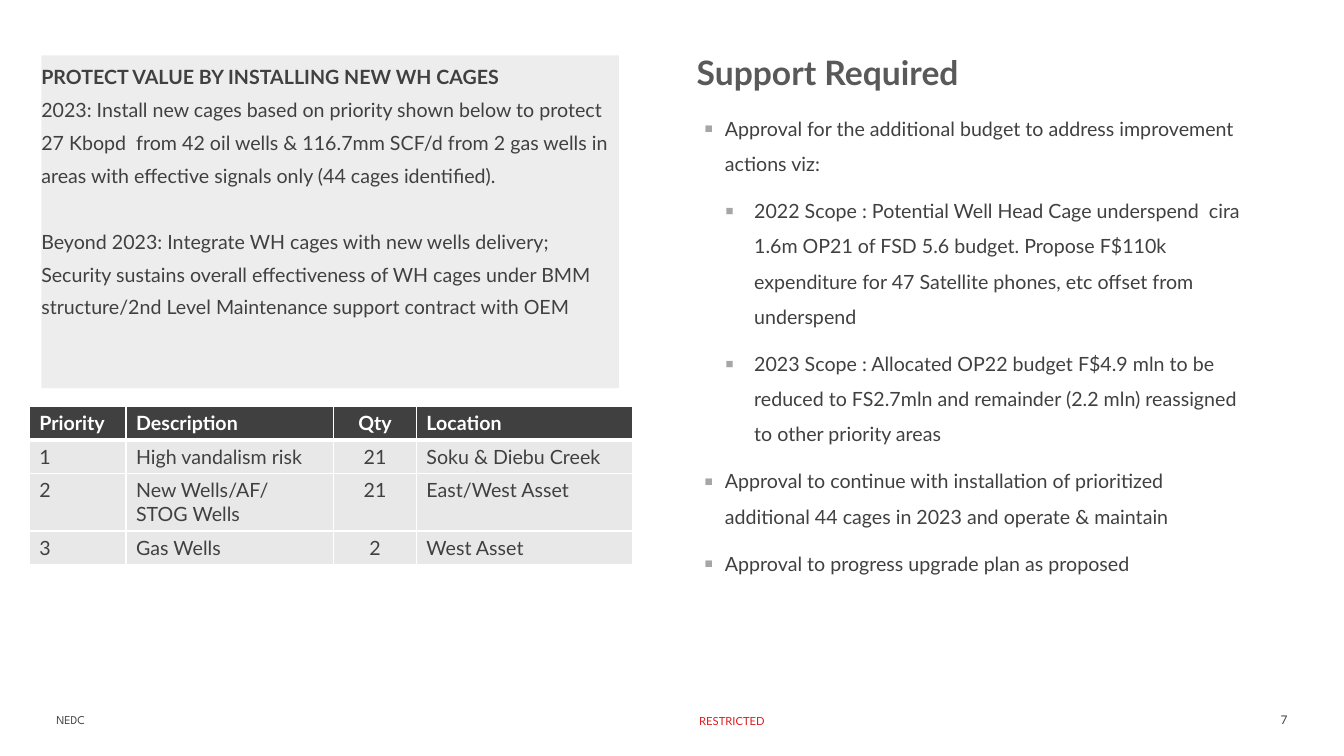
import lxml.etree
import pptx
import pptx.dml.color
import pptx.enum.shapes
import pptx.enum.text
import pptx.oxml.ns
import pptx.util

COLORS = {
    "text": "404040", "title": "595959", "panel": "EDEDED", "head": "404040",
    "row": "E8E8E8", "white": "FFFFFF", "red": "DD1D21", "bullet": "A6A6A6",
}
PLAN = [
    ("PROTECT VALUE BY INSTALLING NEW WH CAGES", True, 0),
    ("2023: Install new cages based on priority shown below to protect 27 Kbopd  from 42 oil wells "
     "& 116.7mm SCF/d from 2 gas wells in areas with effective signals only (44 cages identified).",
     False, 0),
    ("Beyond 2023: Integrate WH cages with new wells delivery; Security sustains overall "
     "effectiveness of WH cages under BMM structure/2nd Level Maintenance support contract with OEM",
     False, 23.5),
]
PRIORITIES = [
    ("Priority", "Description", "Qty", "Location"),
    ("1", "High vandalism risk", "21", "Soku & Diebu Creek"),
    ("2", "New Wells/AF/ STOG Wells", "21", "East/West Asset"),
    ("3", "Gas Wells", "2", "West Asset"),
]
COLUMN_WIDTHS = [0.96, 2.06, 0.82, 2.14]
ROW_HEIGHTS = [0.33, 0.33, 0.57, 0.33]
QTY_COLUMN = 2
REQUESTS = [
    (1, "Approval for the additional budget to address improvement actions viz:"),
    (2, "2022 Scope : Potential Well Head Cage underspend  cira 1.6m OP21 of FSD 5.6 budget. "
        "Propose F$110k expenditure for 47 Satellite phones, etc offset from underspend"),
    (2, "2023 Scope : Allocated OP22 budget F$4.9 mln to be reduced to FS2.7mln and remainder "
        "(2.2 mln) reassigned to other priority areas"),
    (1, "Approval to continue with installation of prioritized additional 44 cages in 2023 "
        "and operate & maintain"),
    (1, "Approval to progress upgrade plan as proposed"),
]
BULLET_LEVELS = {1: (0.22, -0.21, 125), 2: (0.51, -0.29, 120)}
ALIGN = pptx.enum.text.PP_ALIGN
Inches = pptx.util.Inches
Pt = pptx.util.Pt


def rgb(name):
    return pptx.dml.color.RGBColor.from_string(COLORS[name])


def add_element(parent, tag, **attributes):
    return lxml.etree.SubElement(parent, pptx.oxml.ns.qn(tag), attributes)


def write(frame, text, size=14, color="text", font="Lato", bold=False,
          align=ALIGN.LEFT, spacing=None, before=0, level=None):
    para = frame.paragraphs[0]
    if para.runs:
        para = frame.add_paragraph()
    para.alignment = align
    if spacing:
        para.line_spacing = spacing
    if before:
        para.space_before = Pt(before)
    if level:
        add_bullet(para, level)
    span = para.add_run()
    span.text = text
    span.font.name = font
    span.font.size = Pt(size)
    span.font.bold = bold
    span.font.color.rgb = rgb(color)


def add_bullet(para, level):
    margin, indent, percent = BULLET_LEVELS[level]
    props = para._p.get_or_add_pPr()
    para.level = level - 1
    props.set("marL", str(Inches(margin)))
    props.set("indent", str(Inches(indent)))
    color = add_element(props, "a:buClr")
    add_element(color, "a:srgbClr", val=COLORS["bullet"])
    add_element(props, "a:buSzPct", val=str(percent * 1000))
    add_element(props, "a:buFont", typeface="Lato")
    add_element(props, "a:buChar", char="▪")


def set_frame(frame, bottom=0, wrap=True):
    frame.margin_left = frame.margin_right = frame.margin_top = 0
    frame.margin_bottom = Inches(bottom)
    frame.vertical_anchor = pptx.enum.text.MSO_ANCHOR.TOP
    frame.word_wrap = wrap
    return frame


def add_text_frame(page, place, **options):
    box = page.shapes.add_textbox(*map(Inches, place))
    return set_frame(box.text_frame, **options)


def style_cell(cell, fill, bottom_width, top_width):
    props = cell._tc.get_or_add_tcPr()
    widths = {"a:lnL": 1, "a:lnR": 1, "a:lnT": top_width, "a:lnB": bottom_width}
    for tag, width in widths.items():
        line = add_element(props, tag, w=str(Pt(width)))
        solid = add_element(line, "a:solidFill")
        add_element(solid, "a:srgbClr", val=COLORS["white"])
    cell.fill.solid()
    cell.fill.fore_color.rgb = rgb(fill)


def add_plan(page):
    panel = page.shapes.add_shape(pptx.enum.shapes.MSO_SHAPE.RECTANGLE,
                                  *map(Inches, (0.41, 0.55, 5.73, 3.3)))
    panel.shadow.inherit = False
    panel.fill.solid()
    panel.fill.fore_color.rgb = rgb("panel")
    panel.line.fill.background()
    frame = set_frame(panel.text_frame)
    for text, bold, before in PLAN:
        write(frame, text, bold=bold, before=before, spacing=1.4)


def add_priorities(page):
    place = (0.29, 4.03, sum(COLUMN_WIDTHS), sum(ROW_HEIGHTS))
    table = page.shapes.add_table(len(PRIORITIES), len(COLUMN_WIDTHS),
                                  *map(Inches, place)).table
    for column, width in zip(table.columns, COLUMN_WIDTHS):
        column.width = Inches(width)
    for row, height in zip(table.rows, ROW_HEIGHTS):
        row.height = Inches(height)
    for row_index, values in enumerate(PRIORITIES):
        head = row_index == 0
        for column_index, value in enumerate(values):
            cell = table.cell(row_index, column_index)
            style_cell(cell, "head" if head else "row", 3 if head else 1,
                       3 if row_index == 1 else 1)
            write(cell.text_frame, value, bold=head, color="white" if head else "text",
                  align=ALIGN.CENTER if column_index == QTY_COLUMN else ALIGN.LEFT)


def add_requests(page):
    title = add_text_frame(page, (6.91, 0.52, 3.78, 0.37))
    write(title, "Support Required", size=24, color="title", bold=True)
    frame = add_text_frame(page, (6.97, 1.04, 5.41, 5.75))
    for index, (level, text) in enumerate(REQUESTS):
        write(frame, text, level=level, spacing=1.5, before=8.4 if index else 0)


def add_footer(page):
    owner = add_text_frame(page, (0.56, 7.07, 3.67, 0.26), bottom=0.05, wrap=False)
    write(owner, "NEDC", size=8.5, font="League Spartan")
    marking = add_text_frame(page, (6.67, 7.09, 1.18, 0.19), bottom=0.05)
    write(marking, "RESTRICTED", size=8, color="red", align=ALIGN.CENTER)
    number = add_text_frame(page, (12.38, 7.07, 0.39, 0.26), bottom=0.05, wrap=False)
    write(number, "7", size=8.5, align=ALIGN.RIGHT)


def main():
    deck = pptx.Presentation()
    deck.slide_width = Inches(13.33)
    deck.slide_height = Inches(7.5)
    page = deck.slides.add_slide(deck.slide_layouts[6])
    add_plan(page)
    add_priorities(page)
    add_requests(page)
    add_footer(page)
    deck.save("out.pptx")


if __name__ == "__main__":
    main()
